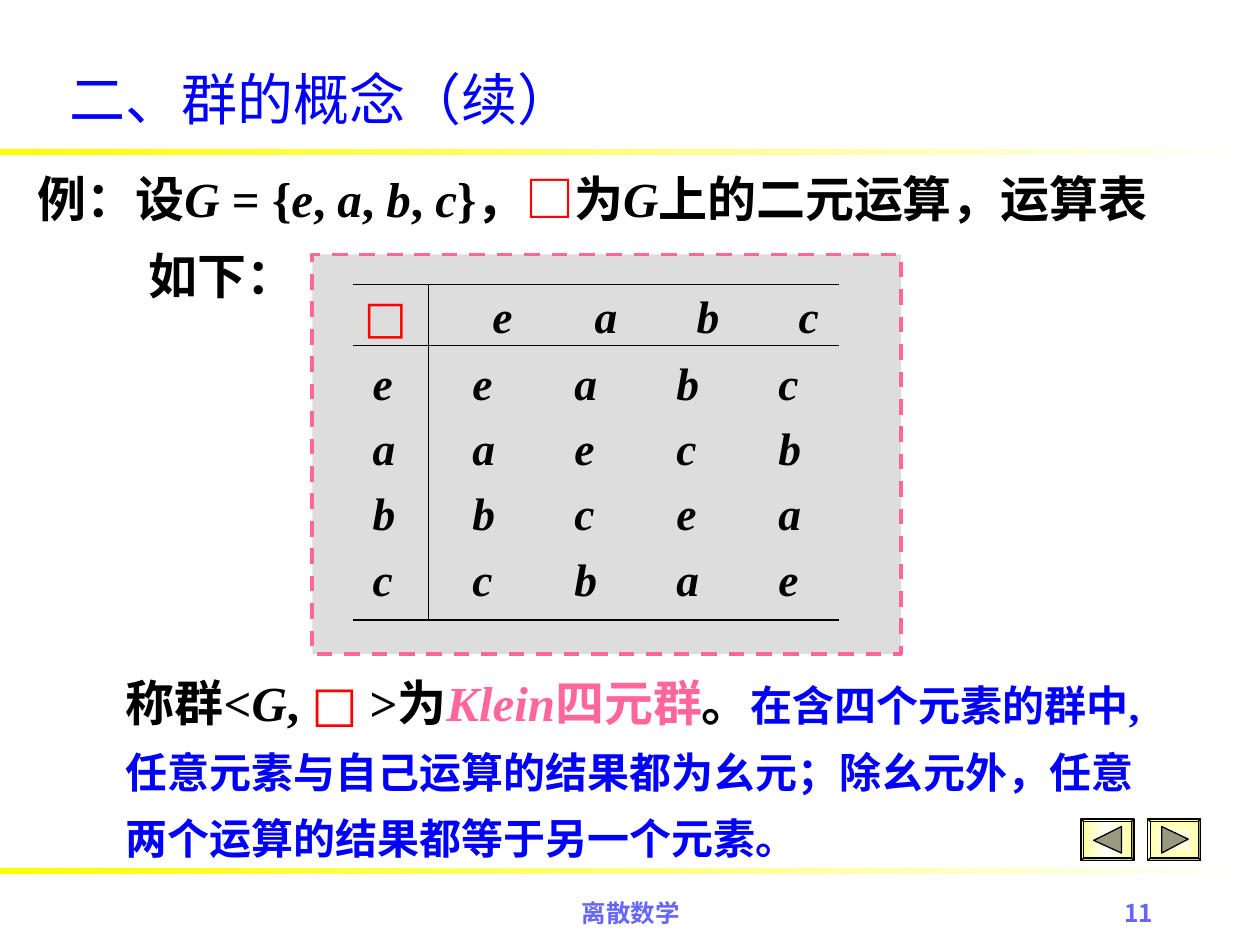
"""Build the slide that introduces the Klein four-group with its operation table."""
import dataclasses

import pptx
import pptx.dml.color
import pptx.enum.dml
import pptx.enum.shapes
import pptx.enum.text
import pptx.oxml
import pptx.oxml.ns
import pptx.util

SHAPE = pptx.enum.shapes.MSO_SHAPE
ALIGN = pptx.enum.text.PP_ALIGN
COLS, ROWS = 100, 75


@dataclasses.dataclass(frozen=True)
class Theme:
    latin: str = "Times New Roman"
    cjk: str = "Noto Sans CJK SC"
    symbol: str = "Roboto"
    ink: str = "000000"
    blue: str = "0000FF"
    red: str = "FF0000"
    pink: str = "FF6699"
    footer: str = "6666FF"
    panel: str = "DDDDDD"
    yellow: str = "FFFF00"
    cream: str = "FFFF99"
    arrow: str = "999980"
    white: str = "FFFFFF"
    title_size: int = 32
    body_size: int = 28
    note_size: int = 24
    table_size: int = 26
    footer_size: int = 14


class SlideBuilder:
    def __init__(self, prs, theme):
        self.theme = theme
        self.col, self.row = prs.slide_width / COLS, prs.slide_height / ROWS
        self.s = prs.slides.add_slide(prs.slide_layouts[6])

    def place(self, x, y):
        return round(x * self.col), round(y * self.row)

    def rgb(self, value):
        return pptx.dml.color.RGBColor.from_string(value)

    def add_xml(self, parent, body):
        tag, rest = body[1:].split(" ", 1)
        parent.append(pptx.oxml.parse_xml(f"<{tag} {pptx.oxml.ns.nsdecls('a')} {rest}"))

    def shape(self, kind, x, y, w, h, fill=None, line=None, weight=0.75, dash=None):
        sp = self.s.shapes.add_shape(kind, *self.place(x, y), *self.place(w, h))
        self.paint(sp, fill, line, weight, dash)
        return sp

    def paint(self, sp, fill, line, weight=0.75, dash=None):
        sp.shadow.inherit = False
        if fill:
            sp.fill.solid()
            sp.fill.fore_color.rgb = self.rgb(fill)
        if line:
            sp.line.color.rgb = self.rgb(line)
            sp.line.width = pptx.util.Pt(weight)
            sp.line.dash_style = dash
        else:
            sp.line.fill.background()

    def gradient(self, sp, colors, direction='<a:lin ang="0" scaled="1"/>'):
        sp.fill.gradient()
        grad = sp._element.spPr.find(pptx.oxml.ns.qn("a:gradFill"))
        for child in list(grad):
            grad.remove(child)
        last = len(colors) - 1
        stops = "".join(
            f'<a:gs pos="{100000 * i // last}"><a:srgbClr val="{c}"/></a:gs>'
            for i, c in enumerate(colors))
        self.add_xml(grad, f"<a:gsLst >{stops}</a:gsLst>")
        self.add_xml(grad, direction)

    def rule(self, y):
        sp = self.shape(SHAPE.RECTANGLE, 0, y, COLS, 0.5)
        self.gradient(sp, [self.theme.yellow, self.theme.white])

    def line(self, x1, y1, x2, y2):
        cn = self.s.shapes.add_connector(
            pptx.enum.shapes.MSO_CONNECTOR.STRAIGHT, *self.place(x1, y1), *self.place(x2, y2))
        cn.line.color.rgb = self.rgb(self.theme.ink)
        cn.line.width = pptx.util.Pt(0.75)
        self.add_xml(cn._element.spPr, "<a:effectLst />")

    def button(self, x, y, points, colors, direction):
        sp = self.shape(SHAPE.BEVEL, x, y, 4.2, 3.3, line=self.theme.ink)
        sp.adjustments[0] = 0.06
        self.gradient(sp, colors, direction)
        corners = [self.place(x + dx, y + dy) for dx, dy in points]
        fb = self.s.shapes.build_freeform(*corners[0])
        fb.add_line_segments(corners[1:], close=True)
        self.paint(fb.convert_to_shape(), self.theme.arrow, self.theme.ink)

    def text(self, x, y, w, h, paragraphs, size, bold=True, spacing=None, align=None,
             indents=(0,), tabs=(), middle=False, grow=True):
        box = self.s.shapes.add_textbox(*self.place(x, y), *self.place(w, h))
        tf = box.text_frame
        tf.word_wrap = True
        if grow:
            tf.auto_size = pptx.enum.text.MSO_AUTO_SIZE.SHAPE_TO_FIT_TEXT
        if middle:
            tf.vertical_anchor = pptx.enum.text.MSO_ANCHOR.MIDDLE
        for i, (runs, indent) in enumerate(zip(paragraphs, indents)):
            p = tf.add_paragraph() if i else tf.paragraphs[0]
            p.alignment, p.line_spacing = align, spacing
            pPr = p._p.get_or_add_pPr()
            if indent:
                pPr.set("marL", str(round(indent * self.col)))
            if tabs:
                stops = "".join(f'<a:tab pos="{round(t * self.col)}" algn="l"/>' for t in tabs)
                self.add_xml(pPr, f"<a:tabLst >{stops}</a:tabLst>")
            for content, *style in runs:
                self.run(p, content, size, bold, **(style[0] if style else {}))

    def run(self, p, content, size, bold, color=None, font=None, italic=False, resize=None):
        r = p.add_run()
        r.text = content
        r.font.name = font or self.theme.latin
        r.font.size = pptx.util.Pt(resize or size)
        r.font.bold, r.font.italic = bold, italic
        r.font.color.rgb = self.rgb(color or self.theme.ink)
        self.add_xml(r._r.get_or_add_rPr(), f'<a:ea typeface="{self.theme.cjk}"/>')

    def table_row(self, x, y, label, label_style, products, first_tab):
        runs = [(label, label_style), ("\t" + "\t".join(products), {"italic": True})]
        tabs = [first_tab + 8.1 * i for i in range(len(products))]
        self.text(x, y, 40.8, 5.4, [runs], self.theme.table_size, tabs=tabs)


def main():
    prs = pptx.Presentation()
    prs.slide_width, prs.slide_height = pptx.util.Inches(10), pptx.util.Inches(7.5)
    t = Theme()
    b = SlideBuilder(prs, t)
    var = {"italic": True}
    operator = {"font": t.symbol, "color": t.red}

    for y in (68.9, 11.8):
        b.rule(y)
    b.text(4.5, 4.6, 85, 6.4, [[("二、群的概念（续）", {"color": t.blue})]],
           t.title_size, bold=False, middle=True)

    example = [("例：设", {"font": t.cjk}), ("G ", var), ("= {",)]
    for i, element in enumerate("eabc"):
        example += ([(", ",)] if i else []) + [(element, var)]
    example += [("}，",), ("□", operator), ("为",), ("G", var), ("上的二元运算，运算表",)]
    b.text(2, 11.5, 98, 13.2, [example, [("如下：",)]], t.body_size,
           spacing=1.3, indents=(0, 8.8))

    b.button(91.1, 65, [(1.1, 0.6), (3.2, 1.6), (1.1, 2.7)], [t.white, t.cream],
             '<a:path path="rect"><a:fillToRect l="50000" t="50000" r="50000" b="50000"/></a:path>')
    b.button(85.8, 65, [(1, 1.7), (3.2, 0.6), (3.2, 2.7)], [t.cream, t.white, t.cream],
             '<a:lin ang="10800000" scaled="1"/>')

    b.shape(SHAPE.RECTANGLE, 24.8, 20.2, 46.7, 31.7, t.panel, t.pink, 2.25,
            pptx.enum.dml.MSO_LINE.DASH)
    b.table_row(27.9, 22.4, "□", operator, "eabc", 10.2)
    for i, products in enumerate(("eabc", "aecb", "bcea", "cbae")):
        b.table_row(28.6, 27.7 + 5.17 * i, products[0], var, products, 7.9)
    for y in (22.6, 27.4, 49.2):
        b.line(28, y, 66.6, y)
    b.line(34, 22.6, 34, 49.3)

    conclusion = [
        ("称群<",), ("G", var), (", ",), ("□ ", operator), (">为",),
        ("Klein", {"color": t.pink, "italic": True}), ("四元群", {"color": t.pink}), ("。",),
        ("在含四个元素的群中, 任意元素与自己运算的结果都为幺元；除幺元外，"
         "任意两个运算的结果都等于另一个元素。", {"color": t.blue, "resize": t.note_size})]
    b.text(9, 51.5, 84.3, 22.7, [conclusion], t.body_size, spacing=1.3)

    b.text(34.2, 70.8, 31.7, 5, [[("离散数学", {"color": t.footer})]], t.footer_size,
           align=ALIGN.CENTER, grow=False)
    b.text(71.7, 70.8, 20.8, 5, [[("11", {"color": t.footer, "font": t.cjk})]], t.footer_size,
           align=ALIGN.RIGHT, grow=False)
    prs.save("out.pptx")


if __name__ == "__main__":
    main()
